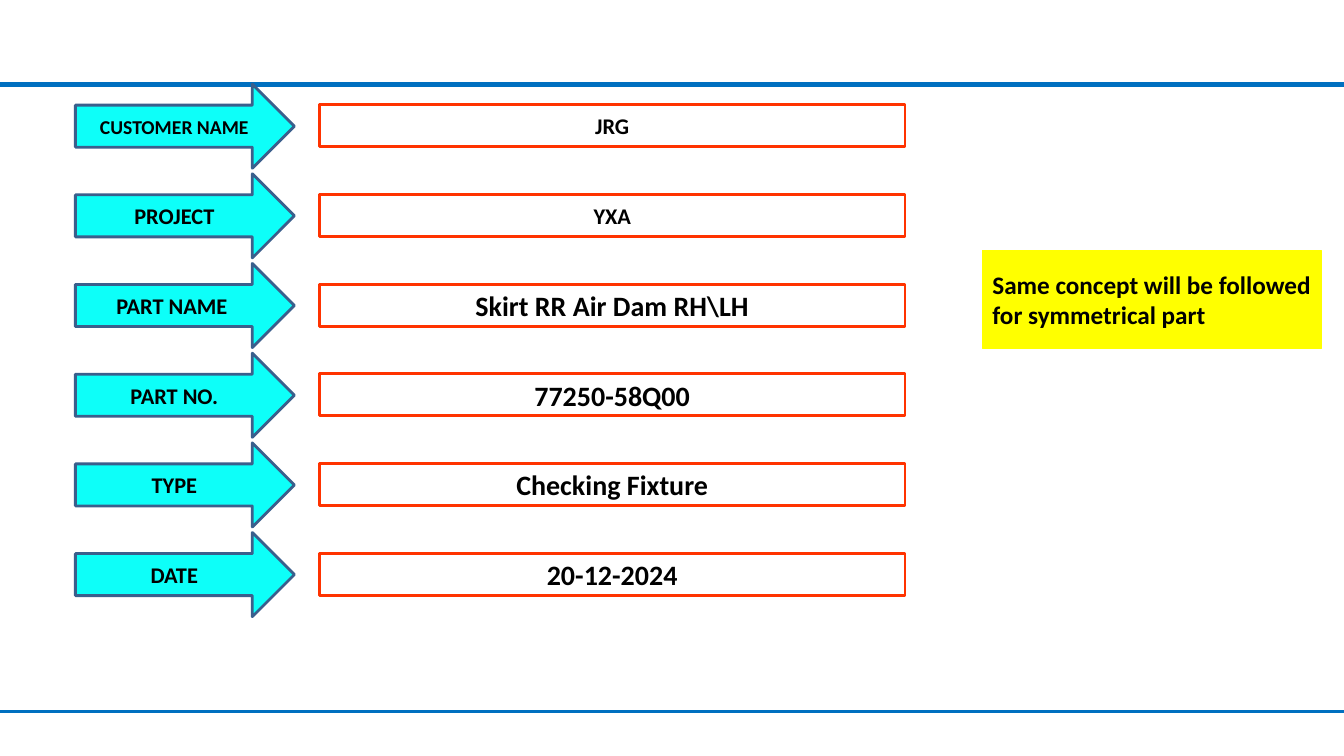
from pptx import Presentation
from pptx.dml.color import RGBColor
from pptx.enum.shapes import MSO_CONNECTOR, MSO_SHAPE
from pptx.enum.text import MSO_ANCHOR, PP_ALIGN
from pptx.oxml.ns import qn
from pptx.util import Cm, Pt
from lxml import etree

STRAIGHT = MSO_CONNECTOR.STRAIGHT
ARROW = MSO_SHAPE.RIGHT_ARROW
RECTANGLE = MSO_SHAPE.RECTANGLE
MIDDLE = MSO_ANCHOR.MIDDLE
LEFT = PP_ALIGN.LEFT
CENTER = PP_ALIGN.CENTER


def color(hex_code):
    return RGBColor.from_string(hex_code)


def add_box(kind, left, top, width, height, fill, outline, line_width,
            text, size, align=CENTER):
    box = slide.shapes.add_shape(kind, Cm(left), Cm(top), Cm(width), Cm(height))
    box.shadow.inherit = False
    if fill:
        box.fill.solid()
        box.fill.fore_color.rgb = color(fill)
    else:
        box.fill.background()
    box.line.color.rgb = color(outline)
    box.line.width = Pt(line_width)
    frame = box.text_frame
    frame.word_wrap = True
    frame.vertical_anchor = MIDDLE
    paragraph = frame.paragraphs[0]
    paragraph.alignment = align
    run = paragraph.add_run()
    run.text = text
    run.font.name = "Calibri"
    run.font.size = Pt(size)
    run.font.bold = True
    run.font.color.rgb = color("000000")


prs = Presentation()
prs.slide_width = Cm(33.87)
prs.slide_height = Cm(19.05)
slide = prs.slides.add_slide(prs.slide_layouts[6])
slide.background.fill.solid()
slide.background.fill.fore_color.rgb = color("FFFFFF")

# Header and footer rules
for rule_top, rule_weight in [(2.13, 3), (17.93, 2.25)]:
    rule = slide.shapes.add_connector(
        STRAIGHT, 0, Cm(rule_top), prs.slide_width, Cm(rule_top))
    rule.line.color.rgb = color("0070C0")
    rule.line.width = Pt(rule_weight)
    etree.SubElement(rule._element.spPr, qn("a:effectLst"))

# Project details: label arrow and value box per row
details = [
    ("CUSTOMER NAME", 14, "JRG", 16),
    ("PROJECT", 16, "YXA", 16),
    ("PART NAME ", 16, "Skirt RR Air Dam RH\\LH", 20),
    ("PART NO.", 16, "77250-58Q00", 20),
    ("TYPE", 16, "Checking Fixture", 20),
    ("DATE", 16, "20-12-2024", 20),
]
FIRST_ROW, ROW_PITCH = 2.12, 2.26
for row, (label, label_size, value, value_size) in enumerate(details):
    row_top = FIRST_ROW + row * ROW_PITCH
    add_box(ARROW, 1.9, row_top, 5.52, 2.12, "0DFFF9", "3A5F8C", 2,
            label, label_size)
    add_box(RECTANGLE, 8.05, row_top + 0.52, 14.76, 1.06, None, "FF3300", 2,
            value, value_size)

# Note on the symmetrical part
add_box(RECTANGLE, 24.76, 6.32, 8.54, 2.46, "FFFF00", "FFFF00", 1,
        "Same concept will be followed for symmetrical part", 18, LEFT)

prs.save("out.pptx")
